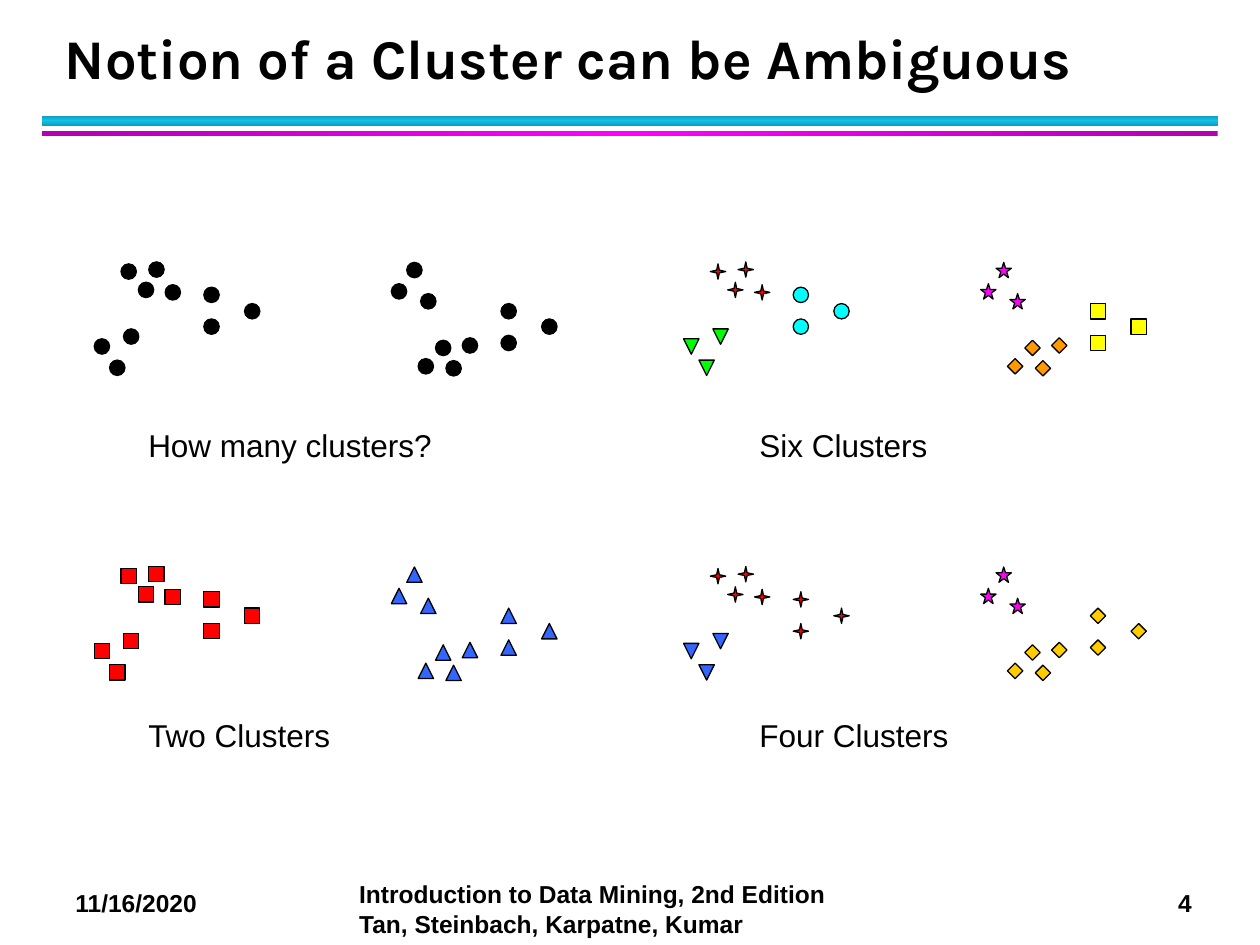
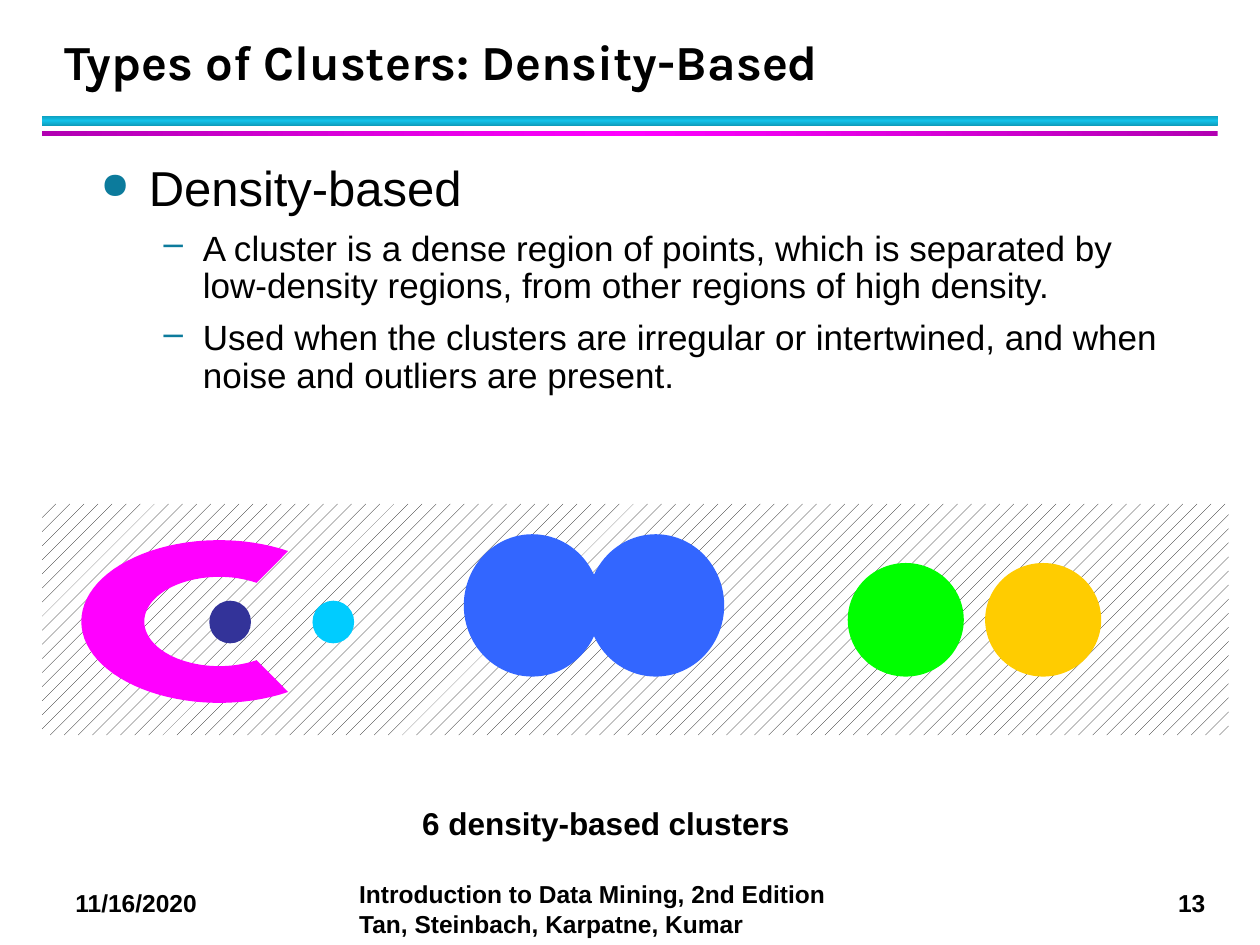
from copy import deepcopy
from math import cos, radians, sin

from lxml.etree import SubElement
from pptx import Presentation
from pptx.dml.color import RGBColor
from pptx.enum.dml import MSO_PATTERN
from pptx.enum.shapes import MSO_SHAPE
from pptx.enum.text import MSO_ANCHOR
from pptx.oxml.ns import qn
from pptx.util import Cm, Pt

COLOURS = {
    "black": "000000", "white": "FFFFFF", "teal": "0E9BBA", "aqua": "12C2E9",
    "plum": "B200B2", "magenta": "FF00FF", "red": "FF0000", "blue": "3366FF",
    "lime": "00FF00", "cyan": "00FFFF", "orange": "FF9900", "yellow": "FFFF00",
    "gold": "FFCC00", "navy": "333399", "sky": "00CCFF", "bullet": "0C7B9C",
}
RGB = {name: RGBColor.from_string(value) for name, value in COLOURS.items()}

TITLE = {"name": "Karla", "bold": True}
FOOTER = {"name": "Arial", "size": Pt(14), "bold": True}
CAPTION = {"name": "Arial", "size": Pt(18), "bold": False}


def add_text(slide, box, lines, font_format, wrap=True):
    """Add a text box with one paragraph per line, all in one font format."""
    frame = slide.shapes.add_textbox(*map(Cm, box)).text_frame
    frame.word_wrap = wrap
    for number, line in enumerate(lines):
        paragraph = frame.paragraphs[0] if number == 0 else frame.add_paragraph()
        run = paragraph.add_run()
        run.text = line
        run.font.color.rgb = RGB["black"]
        for key, value in font_format.items():
            setattr(run.font, key, value)
    return frame


def add_figure(slide, preset, box, colour, outlined=False):
    """Add a filled preset shape, with a thin black outline if asked."""
    figure = slide.shapes.add_shape(preset, *map(Cm, box))
    figure.shadow.inherit = False
    figure.fill.solid()
    figure.fill.fore_color.rgb = RGB[colour]
    if outlined:
        figure.line.color.rgb = RGB["black"]
        figure.line.width = Pt(0.75)
    else:
        figure.line.fill.background()
    return figure


deck = Presentation()
deck.slide_width, deck.slide_height = Cm(25.4), Cm(19.05)

# Shared title, bands and footer
headings = [("Notion of a Cluster can be Ambiguous", 32, "4"),
            ("Types of Clusters: Density-Based", 28, "13")]
bands = [(2.33, 0.21, "teal", "aqua", 90), (2.64, 0.1, "plum", "magenta", 0)]
slides = []
for heading, heading_size, page in headings:
    slide = deck.slides.add_slide(deck.slide_layouts[6])
    slides.append(slide)
    for top, height, edge, middle, angle in bands:
        band = add_figure(slide, MSO_SHAPE.RECTANGLE, (0.85, top, 23.7, height), edge)
        band.fill.gradient()
        band.fill.gradient_angle = angle
        stops = band._element.spPr.find(qn("a:gradFill")).find(qn("a:gsLst"))
        stops.insert(1, deepcopy(stops[0]))
        for stop, position, colour in zip(band.fill.gradient_stops, (0, 0.5, 1),
                                          (edge, middle, edge)):
            stop.position = position
            stop.color.rgb = RGB[colour]
    add_text(slide, (1.27, 17.78, 3.39, 0.86), ["11/16/2020"], FOOTER)
    add_text(slide, (23.5, 17.78, 1.12, 0.86), [page], FOOTER, wrap=False)
    add_text(slide, (6.99, 17.6, 10.37, 1.45),
             ["Introduction to Data Mining, 2nd Edition",
              "Tan, Steinbach, Karpatne, Kumar"], FOOTER)
    title = add_text(slide, (1.06, 0.43, 23.02, 1.52), [heading],
                     {**TITLE, "size": Pt(heading_size)})
    title.vertical_anchor = MSO_ANCHOR.BOTTOM
    title.paragraphs[0].line_spacing = Pt(36)

ambiguous, density = slides

# Slide 1: the left half of the points, in three clumps
clumps = [
    [(3.33, 5.74), (2.44, 5.32), (3.0, 5.28), (2.79, 5.69)],
    [(2.49, 6.63), (1.9, 6.83), (2.21, 7.26)],
    [(4.11, 5.79), (4.93, 6.12), (4.11, 6.43)],
]
MARK_SIZE = 0.31
HALF_SHIFT, MIRROR_SUM = 5.99, 12.55  # right half: shifted and mirrored
PANEL_SHIFT, PANEL_DROP = 11.88, 6.14

# Mark, colour and rotation of each clump
dot = (MSO_SHAPE.OVAL, "black", 0)
square = (MSO_SHAPE.RECTANGLE, "red", 0)
triangle = (MSO_SHAPE.ISOSCELES_TRIANGLE, "blue", 0)
spark = (MSO_SHAPE.STAR_4_POINT, "red", 0)
star = (MSO_SHAPE.STAR_5_POINT, "magenta", 0)
gold_diamond = (MSO_SHAPE.DIAMOND, "gold", 0)
six_left = [spark, (MSO_SHAPE.ISOSCELES_TRIANGLE, "lime", 180),
            (MSO_SHAPE.OVAL, "cyan", 0)]
six_right = [(MSO_SHAPE.DIAMOND, "orange", 0), star,
             (MSO_SHAPE.RECTANGLE, "yellow", 0)]
four_left = [spark, (MSO_SHAPE.FLOWCHART_EXTRACT, "blue", 180), spark]
four_right = [gold_diamond, star, gold_diamond]

# Column, row, caption, marks of the left and right half
panels = [
    (0, 0, "How many clusters?", [dot] * 3, [dot] * 3),
    (1, 1, "Four Clusters", four_left, four_right),
    (0, 1, "Two Clusters", [square] * 3, [triangle] * 3),
    (1, 0, "Six Clusters", six_left, six_right),
]
for column, row, caption, left_marks, right_marks in panels:
    for half, marks in enumerate((left_marks, right_marks)):
        for clump, (preset, colour, rotation) in zip(clumps, marks):
            for x, y in clump:
                left = x + half * HALF_SHIFT + column * PANEL_SHIFT
                top = (MIRROR_SUM - y if half else y) + row * PANEL_DROP
                point = add_figure(ambiguous, preset,
                                   (left, top, MARK_SIZE, MARK_SIZE), colour, True)
                point.rotation = rotation
    add_text(ambiguous, (2.74 + column * 12.32, 8.46 + row * 5.84, 6.35, 1.02),
             [caption], CAPTION)

# Slide 2: bulleted text
statements = [
    "Density-based",
    "A cluster is a dense region of points, which is separated by low-density "
    "regions, from other regions of high density.",
    "Used when the clusters are irregular or intertwined, and when noise and "
    "outliers are present.",
]
body = add_text(density, (1.78, 3.18, 22.23, 14.2), statements, {"name": "Arial"})
head_level = (0, 28, 0.97, -0.97, "●", 75)
sub_level = (1, 20, 2.06, -0.79, "–", 100)
for paragraph, (level, size, margin, indent, bullet, percent) in zip(
        body.paragraphs, (head_level, sub_level, sub_level)):
    spacing = {"level": level, "line_spacing": 0.9,
               "space_before": Pt(size * 0.2), "space_after": Pt(4)}
    for key, value in spacing.items():
        setattr(paragraph, key, value)
    paragraph.runs[0].font.size = Pt(size)
    properties = paragraph._p.get_or_add_pPr()
    properties.set("marL", str(Cm(margin)))
    properties.set("indent", str(Cm(indent)))
    bullet_colour = SubElement(properties, qn("a:buClr"))
    SubElement(bullet_colour, qn("a:srgbClr"), val=COLOURS["bullet"])
    SubElement(properties, qn("a:buSzPct"), val=str(percent * 1000))
    SubElement(properties, qn("a:buChar"), char=bullet)

# Noise background
noise = add_figure(density, MSO_SHAPE.RECTANGLE, (0.85, 10.16, 23.92, 4.66), "white")
noise.fill.patterned()
noise.fill.pattern = MSO_PATTERN.PERCENT_10
noise.fill.fore_color.rgb = RGB["black"]
noise.fill.back_color.rgb = RGB["white"]

# Crescent cluster: outer arc, then inner arc backwards
CENTRE_X, CENTRE_Y = 4.42, 12.53
sweep = range(60, 301, 4)
outline = [(CENTRE_X + rx * cos(radians(angle)), CENTRE_Y + ry * sin(radians(angle)))
           for rx, ry, angles in ((2.78, 1.64, sweep), (1.51, 0.9, reversed(sweep)))
           for angle in angles]
corners = [(Cm(x), Cm(y)) for x, y in outline]
builder = density.shapes.build_freeform(*corners[0])
builder.add_line_segments(corners[1:], close=True)
crescent = builder.convert_to_shape()
crescent.shadow.inherit = False
crescent.fill.solid()
crescent.fill.fore_color.rgb = RGB["magenta"]
crescent.line.fill.background()

# Round clusters
round_clusters = [
    ((4.22, 12.11, 0.84, 0.86), "navy"),
    ((6.3, 12.11, 0.84, 0.86), "sky"),
    ((17.09, 11.35, 2.34, 2.29), "lime"),
    ((19.86, 11.35, 2.34, 2.29), "gold"),
    ((9.35, 10.77, 2.76, 2.87), "blue"),
    ((11.84, 10.77, 2.76, 2.87), "blue"),
]
for box, colour in round_clusters:
    add_figure(density, MSO_SHAPE.OVAL, box, colour)

add_text(density, (8.26, 16.08, 8.89, 1.02), ["6 density-based clusters"],
         {**CAPTION, "bold": True})

deck.save("out.pptx")
